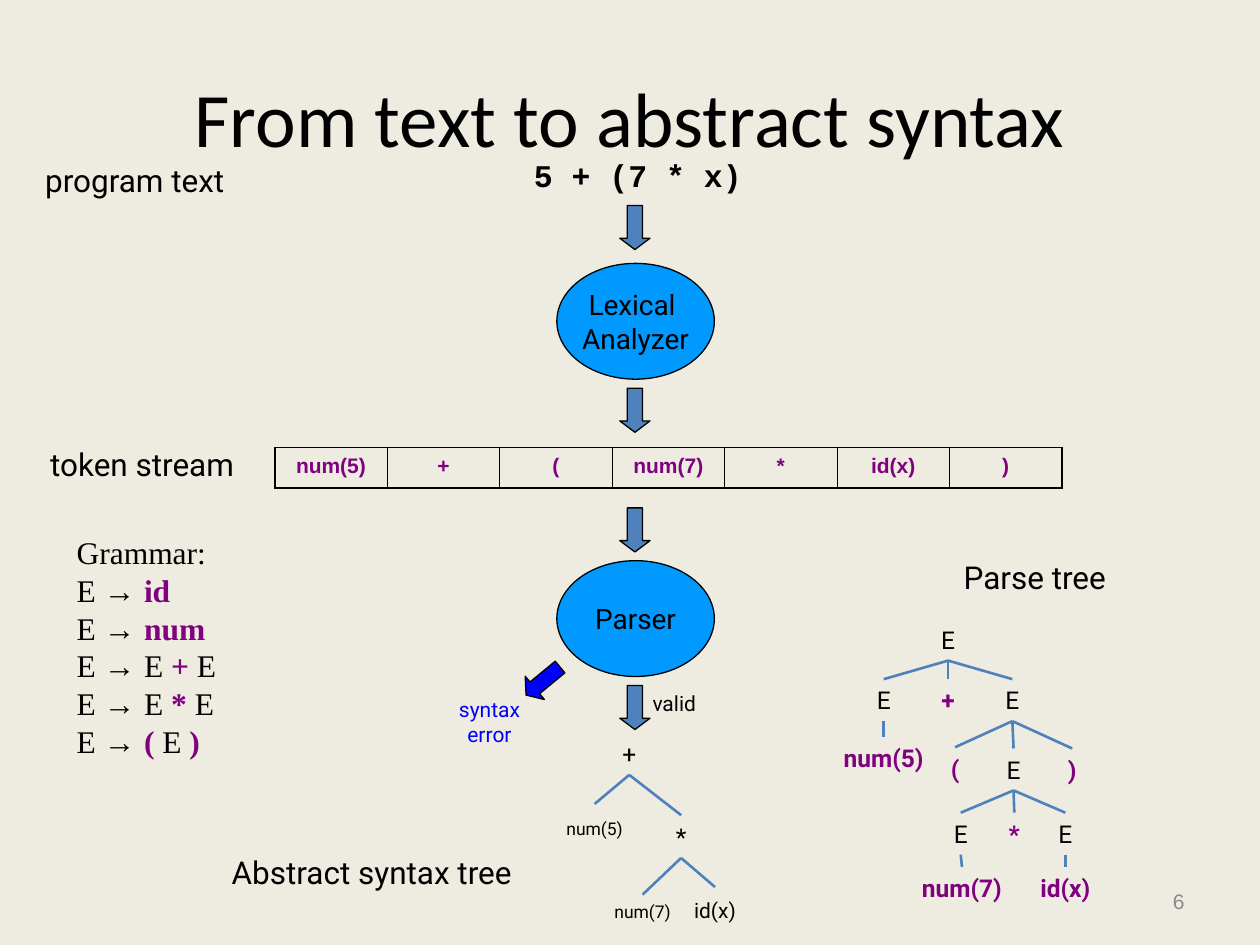
from lxml.etree import SubElement
from pptx import Presentation
from pptx.dml.color import RGBColor
from pptx.enum.shapes import MSO_CONNECTOR, MSO_SHAPE
from pptx.enum.text import MSO_ANCHOR, PP_ALIGN
from pptx.oxml.ns import qn
from pptx.util import Pt

BLACK, PURPLE, BLUE, STEEL = "000000", "800080", "0000FF", "4F81BD"
color = RGBColor.from_string


def write_text(frame, text, size, font="Roboto", ink=BLACK, bold=False, align=PP_ALIGN.CENTER):
    frame.text = text
    for para in frame.paragraphs:
        para.alignment = align
        for span in para.runs:
            span.font.size = Pt(size)
            span.font.name = font
            span.font.bold = bold
            span.font.color.rgb = color(ink)


def add_shape(kind, left, top, width, height, fill):
    shape = page.shapes.add_shape(kind, Pt(left), Pt(top), Pt(width), Pt(height))
    shape.shadow.inherit = False
    shape.fill.solid()
    shape.fill.fore_color.rgb = color(fill)
    shape.line.color.rgb = color(BLACK)
    shape.line.width = Pt(0.75)
    return shape


deck = Presentation()
deck.slide_width, deck.slide_height = Pt(720), Pt(540)
page = deck.slides.add_slide(deck.slide_layouts[5])
page.background.fill.solid()
page.background.fill.fore_color.rgb = color("EEECE1")

title = page.shapes.title
title.left, title.top, title.width, title.height = Pt(36), Pt(21.6), Pt(648), Pt(90)
title.text_frame.vertical_anchor = MSO_ANCHOR.MIDDLE
write_text(title.text_frame, "From text to abstract syntax", 44, "Calibri")

labels = [
    ("6", 516.2, 500.4, 167.8, 28.8, 12, "Arial", "898989", False, PP_ALIGN.RIGHT),
    ("5 + (7 * x)", 298, 85.7, 139, 28.8, 18, "Courier New", BLACK, True, PP_ALIGN.LEFT),
    ("program text", 18.7, 88.6, 126.7, 28.8, 18, "Roboto", BLACK, False, PP_ALIGN.LEFT),
    ("token stream", 21.6, 250.6, 126.7, 28.8, 18, "Roboto", BLACK, False, PP_ALIGN.LEFT),
    ("Abstract syntax tree", 125.3, 483.8, 182.9, 28.8, 18, "Roboto", BLACK, False, PP_ALIGN.LEFT),
    ("Parse tree", 543.6, 315.4, 100, 28.8, 18, "Roboto", BLACK, False, PP_ALIGN.LEFT),
    ("valid", 365.8, 391, 40.3, 21.6, 12, "Roboto", BLACK, False, PP_ALIGN.LEFT),
    ("syntax\nerror", 254.2, 394.6, 51, 36, 12, "Roboto", BLUE, False, PP_ALIGN.CENTER),
]
for text, left, top, width, height, *style in labels:
    box = page.shapes.add_textbox(Pt(left), Pt(top), Pt(width), Pt(height))
    box.text_frame.word_wrap = text == "6"
    if text == "6":
        box.text_frame.vertical_anchor = MSO_ANCHOR.MIDDLE
    write_text(box.text_frame, text, *style)

tokens = ["num(5)", "+", "(", "num(7)", "*", "id(x)", ")"]
table = page.shapes.add_table(1, len(tokens), Pt(157), Pt(255.8), Pt(450), Pt(23)).table
table.first_row = table.horz_banding = False
for index, token in enumerate(tokens):
    cell = table.cell(0, index)
    write_text(cell.text_frame, token, 12, "Arial", PURPLE, True)
    properties = cell._tc.get_or_add_tcPr()
    for side in ("L", "R", "T", "B"):
        outer = side in "TB" or (side, index) in (("L", 0), ("R", len(tokens) - 1))
        border = SubElement(properties, qn(f"a:ln{side}"), w=str(Pt(1.08 if outer else 0.45)))
        SubElement(SubElement(border, qn("a:solidFill")), qn("a:srgbClr"), val=BLACK)
    cell.fill.background()

for text, top in (("Lexical \nAnalyzer", 150.5), ("Parser", 320.4)):
    stage = add_shape(MSO_SHAPE.OVAL, 318.2, top, 90, 66.2, "0099FF")
    stage.text_frame.word_wrap = False
    stage.text_frame.vertical_anchor = MSO_ANCHOR.MIDDLE
    write_text(stage.text_frame, text, 16)

arrows = [(354.2, top, STEEL, 0) for top in (117.4, 221.8, 290.2, 391.7)]
arrows.append((301.7, 376.6, BLUE, 50.5))
for left, top, fill, angle in arrows:
    arrow = add_shape(MSO_SHAPE.DOWN_ARROW, left, top, 17.3, 25.2, fill)
    arrow.adjustments[0], arrow.adjustments[1] = 0.5, 0.375
    arrow.rotation = angle

grammar = page.shapes.add_textbox(Pt(36.7), Pt(301), Pt(102.2), Pt(136.8)).text_frame
grammar.word_wrap = True
write_text(grammar, "Grammar:", 18, "Times New Roman", align=PP_ALIGN.LEFT)
for rule in (["id"], ["num"], ["E ", "+ ", "E"], ["E ", "* ", "E"], ["( ", "E ", ")"]):
    para = grammar.add_paragraph()
    for part in ["E ", "→ ", *rule]:
        span = para.add_run()
        span.text = part
        terminal = part.strip() not in ("E", "→")
        span.font.size = Pt(18)
        span.font.name = "Arial" if part == "→ " else "Times New Roman"
        span.font.bold = terminal
        span.font.color.rgb = color(PURPLE if terminal else BLACK)

parse_tree = [
    ("E", 541.8, 353.5, 24, 14, None),
    ("E", 505, 388.1, 24, 14, 0),
    ("+", 541.8, 388.1, 24, 14, 0),
    ("E", 578.5, 388.1, 24, 14, 0),
    ("num(5)", 505, 421.2, 24, 14, 1),
    ("(", 545.8, 427, 24, 14, 3),
    ("E", 579.2, 427.7, 24, 14, 3),
    (")", 612.7, 427.7, 24, 14, 3),
    ("E", 549, 464.4, 24, 14, 6),
    ("*", 579.6, 464.4, 24, 14, 6),
    ("E", 608.8, 464.4, 24, 14, 6),
    ("num(7)", 549.7, 495.4, 24, 14, 8),
    ("id(x)", 608.8, 495.4, 24, 14, 10),
]
syntax_tree = [
    ("+", 359.6, 418.3, 24.5, 14, None),
    ("num(5)", 339.8, 459.4, 28, 10, 0),
    ("*", 389.2, 465.8, 24.5, 14, 0),
    ("num(7)", 367.2, 511.2, 19.4, 10, 2),
    ("id(x)", 408.6, 506.9, 25.9, 12, 2),
]
for tree, terminal_ink in ((parse_tree, PURPLE), (syntax_tree, BLACK)):
    nodes = []
    for text, center, top, height, size, parent in tree:
        width = 22 if len(text) == 1 else 14.4 + len(text) * size * 0.6
        node = page.shapes.add_textbox(Pt(center - width / 2), Pt(top), Pt(width), Pt(height))
        node.text_frame.word_wrap = False
        node.text_frame.vertical_anchor = MSO_ANCHOR.MIDDLE
        ink = BLACK if text == "E" else terminal_ink
        write_text(node.text_frame, text, size, ink=ink, bold=ink == PURPLE)
        nodes.append(node)
        if parent is not None:
            edge = page.shapes.add_connector(MSO_CONNECTOR.STRAIGHT, 0, 0, 0, 0)
            edge.begin_connect(nodes[parent], 2)
            edge.end_connect(node, 0)
            edge.line.color.rgb = color(STEEL)
            edge.line.width = Pt(1.5)
            SubElement(edge._element.spPr, qn("a:effectLst"))

deck.save("out.pptx")
